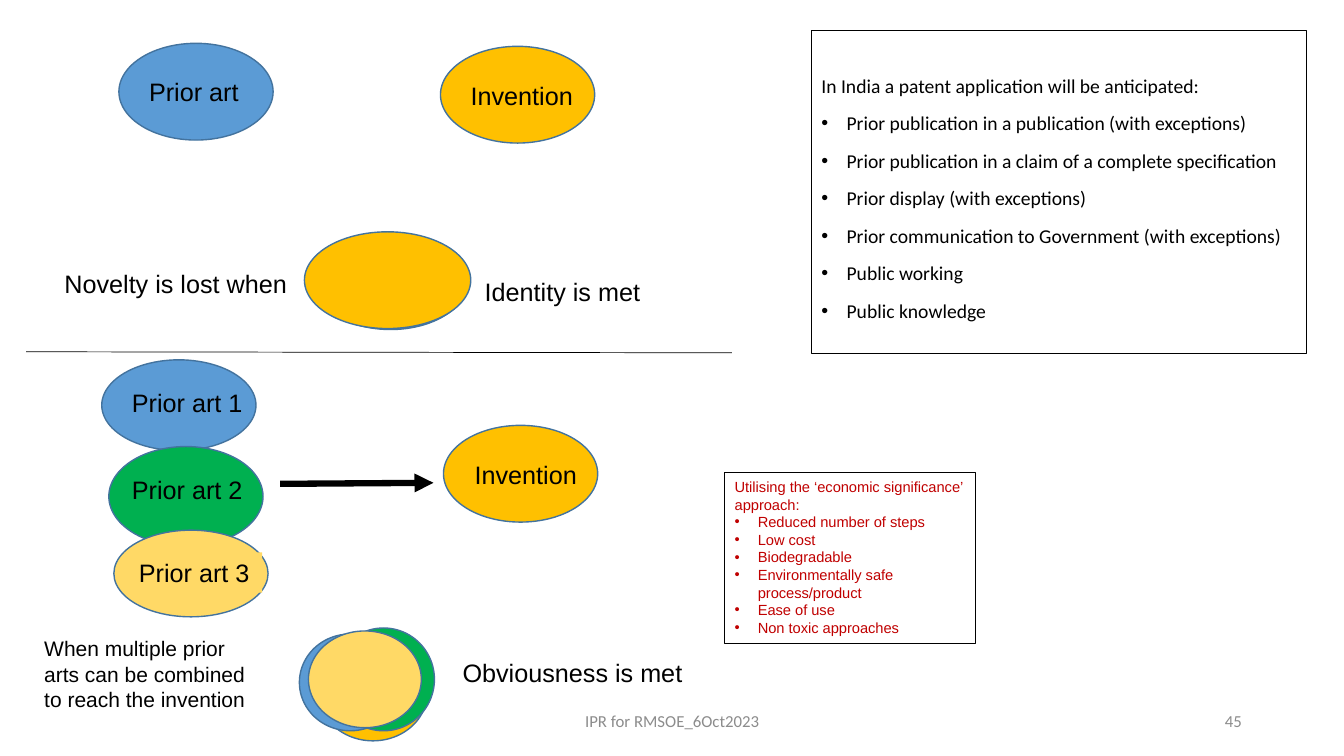
from dataclasses import dataclass, field
from typing import Any

from lxml.etree import SubElement
from pptx import Presentation
from pptx.dml.color import RGBColor
from pptx.enum.shapes import MSO_CONNECTOR, MSO_SHAPE
from pptx.enum.text import MSO_ANCHOR, PP_ALIGN
from pptx.oxml.ns import qn
from pptx.util import Inches, Pt


@dataclass(frozen=True)
class Theme:
    prior: str = "5B9BD5"
    invention: str = "FFC000"
    second_art: str = "00B050"
    third_art: str = "FFD966"
    outline: str = "43739E"
    ink: str = "000000"
    accent: str = "C00000"
    muted: str = "8C8C8C"
    diagram_font: str = "Arial"
    list_font: str = "Calibri"
    label_size: float = 18
    explanation_size: float = 15
    list_size: float = 14
    footer_size: float = 12
    approach_size: float = 10.5


THEME = Theme()

# Grid: 75 rows on the slide's height, with square cells
ROWS = 75
COLUMNS = ROWS * 16 / 9
CELL = 7.5 / ROWS


def cells(count: float) -> int:
    return Inches(count * CELL)


@dataclass(frozen=True)
class Oval:
    column: float
    row: float
    fill: str
    columns: float = 15.3
    rows: float = 9.6


@dataclass(frozen=True)
class Label:
    text: str
    column: float
    row: float
    columns: float = 13.2
    rows: float = 4
    size: float = THEME.label_size
    font: str = THEME.diagram_font
    color: str = THEME.ink
    fill: str | None = None
    frame: dict[str, Any] = field(default_factory=dict)
    paragraph: dict[str, Any] = field(default_factory=dict)


@dataclass(frozen=True)
class BulletBox:
    heading: str
    bullets: tuple[str, ...]
    column: float
    row: float
    columns: float
    rows: float
    size: float
    font: str
    color: str
    indent: float
    gap: float = 0
    frame: dict[str, Any] = field(default_factory=dict)


@dataclass(frozen=True)
class Rule:
    start: tuple[float, float]
    end: tuple[float, float]
    weight: float
    arrow: bool = False


TIGHT = {"line_spacing": 0.9}
MIDDLE = {"vertical_anchor": MSO_ANCHOR.MIDDLE}

OVALS = [
    # Novelty: separate, then identical
    Oval(11.8, 4.3, THEME.prior),
    Oval(43.7, 4.6, THEME.invention),
    Oval(31.1, 23.1, THEME.prior),
    Oval(30.2, 23, THEME.invention, columns=16.5),
    # Obviousness: three prior arts and the invention
    Oval(10.1, 35.7, THEME.prior, rows=9),
    Oval(44, 42.2, THEME.invention),
    Oval(10.8, 44.3, THEME.second_art, rows=9.9),
    Oval(11.3, 52.6, THEME.third_art, rows=8.6),
    # Obviousness: all combined
    Oval(31.6, 63.9, THEME.invention, columns=10.8),
    Oval(29.7, 62.9, THEME.prior, columns=10.1),
    Oval(33, 62.3, THEME.second_art, columns=10.1, rows=10.2),
    Oval(30.6, 62.6, THEME.third_art, columns=11.2),
]

LABELS = [
    Label("Prior art", 13.8, 7.1),
    Label("Invention", 45.7, 7.5),
    Label("Novelty is lost when", 5.4, 26.5, 25.1, 4.5, paragraph=TIGHT),
    Label("Identity is met", 47.1, 26.9, 23.2),
    Label("Prior art 1", 12.1, 37.9),
    Label("Prior art 2", 12.1, 46.6),
    Label("Prior art 3", 12.8, 54.8, fill=THEME.third_art),
    Label("Invention", 46.1, 45.1),
    Label("When multiple prior arts can be combined to reach the invention",
          3.4, 62.6, 23.2, 8.6, size=THEME.explanation_size),
    Label("Obviousness is met", 44.9, 65.1, 25.1, 4.5, paragraph=TIGHT),
    # Footer
    Label("IPR for RMSOE_6Oct2023", 44.2, 69.5, 45, 4, THEME.footer_size, THEME.list_font,
          THEME.muted, frame=MIDDLE, paragraph={"alignment": PP_ALIGN.CENTER}),
    Label("45", 94.2, 69.5, 30, 4, THEME.footer_size, THEME.list_font,
          THEME.muted, frame=MIDDLE, paragraph={"alignment": PP_ALIGN.RIGHT}),
]

BULLET_BOXES = [
    BulletBox(
        "In India a patent application will be anticipated:",
        ("Prior publication in a publication (with exceptions)",
         "Prior publication in a claim of a complete specification",
         "Prior display (with exceptions)",
         "Prior communication to Government (with exceptions)",
         "Public working",
         "Public knowledge"),
        80.5, 3, 49.1, 32.1, THEME.list_size, THEME.list_font, THEME.ink,
        indent=2.5, gap=10, frame={"margin_top": cells(4.3)}),
    BulletBox(
        "Utilising the ‘economic significance’ approach:",
        ("Reduced number of steps",
         "Low cost",
         "Biodegradable",
         "Environmentally safe process/product",
         "Ease of use",
         "Non toxic approaches"),
        71.9, 46.9, 24.9, 16.9, THEME.approach_size, THEME.diagram_font, THEME.accent,
        indent=2.3),
]

RULES = [
    Rule((27.8, 48), (43, 47.9), weight=4.5, arrow=True),
    Rule((2.6, 34.9), (72.6, 35), weight=0.5),
]


def apply(target, formats: dict[str, Any]) -> None:
    for attribute, value in formats.items():
        setattr(target, attribute, value)


def area(part: Oval | Label | BulletBox) -> tuple[int, ...]:
    return tuple(cells(n) for n in (part.column, part.row, part.columns, part.rows))


def write(paragraph, text: str, part: Label | BulletBox) -> None:
    run = paragraph.add_run()
    run.text = text
    apply(run.font, {"name": part.font, "size": Pt(part.size)})
    run.font.color.rgb = RGBColor.from_string(part.color)


def draw_oval(slide, oval: Oval) -> None:
    ellipse = slide.shapes.add_shape(MSO_SHAPE.OVAL, *area(oval))
    ellipse.shadow.inherit = False
    ellipse.fill.solid()
    ellipse.fill.fore_color.rgb = RGBColor.from_string(oval.fill)
    ellipse.line.color.rgb = RGBColor.from_string(THEME.outline)
    ellipse.line.width = Pt(1)


def draw_label(slide, label: Label) -> None:
    box = slide.shapes.add_textbox(*area(label))
    if label.fill:
        box.fill.solid()
        box.fill.fore_color.rgb = RGBColor.from_string(label.fill)
    apply(box.text_frame, {"word_wrap": True, **label.frame})
    paragraph = box.text_frame.paragraphs[0]
    apply(paragraph, label.paragraph)
    write(paragraph, label.text, label)


def draw_bullet_box(slide, part: BulletBox) -> None:
    box = slide.shapes.add_textbox(*area(part))
    box.line.color.rgb = RGBColor.from_string(THEME.ink)
    box.line.width = Pt(0.75)
    apply(box.text_frame, {"word_wrap": True, **part.frame})
    write(box.text_frame.paragraphs[0], part.heading, part)
    for bullet in part.bullets:
        paragraph = box.text_frame.add_paragraph()
        properties = paragraph._p.get_or_add_pPr()
        properties.set("marL", str(cells(part.indent)))
        properties.set("indent", str(-cells(part.indent)))
        SubElement(properties, qn("a:buFont"), typeface=THEME.diagram_font)
        SubElement(properties, qn("a:buChar"), char="•")
        paragraph.space_before = Pt(part.gap)
        write(paragraph, bullet, part)


def draw_rule(slide, rule: Rule) -> None:
    ends = [cells(n) for n in (*rule.start, *rule.end)]
    connector = slide.shapes.add_connector(MSO_CONNECTOR.STRAIGHT, *ends)
    connector.line.color.rgb = RGBColor.from_string(THEME.ink)
    connector.line.width = Pt(rule.weight)
    if rule.arrow:
        SubElement(connector.line._get_or_add_ln(), qn("a:tailEnd"), type="triangle")
    SubElement(connector._element.spPr, qn("a:effectLst"))


def main() -> None:
    presentation = Presentation()
    apply(presentation, {"slide_width": cells(COLUMNS), "slide_height": cells(ROWS)})
    slide = presentation.slides.add_slide(presentation.slide_layouts[6])
    for draw, parts in ((draw_oval, OVALS), (draw_label, LABELS),
                        (draw_bullet_box, BULLET_BOXES), (draw_rule, RULES)):
        for part in parts:
            draw(slide, part)
    presentation.save("out.pptx")


if __name__ == "__main__":
    main()
